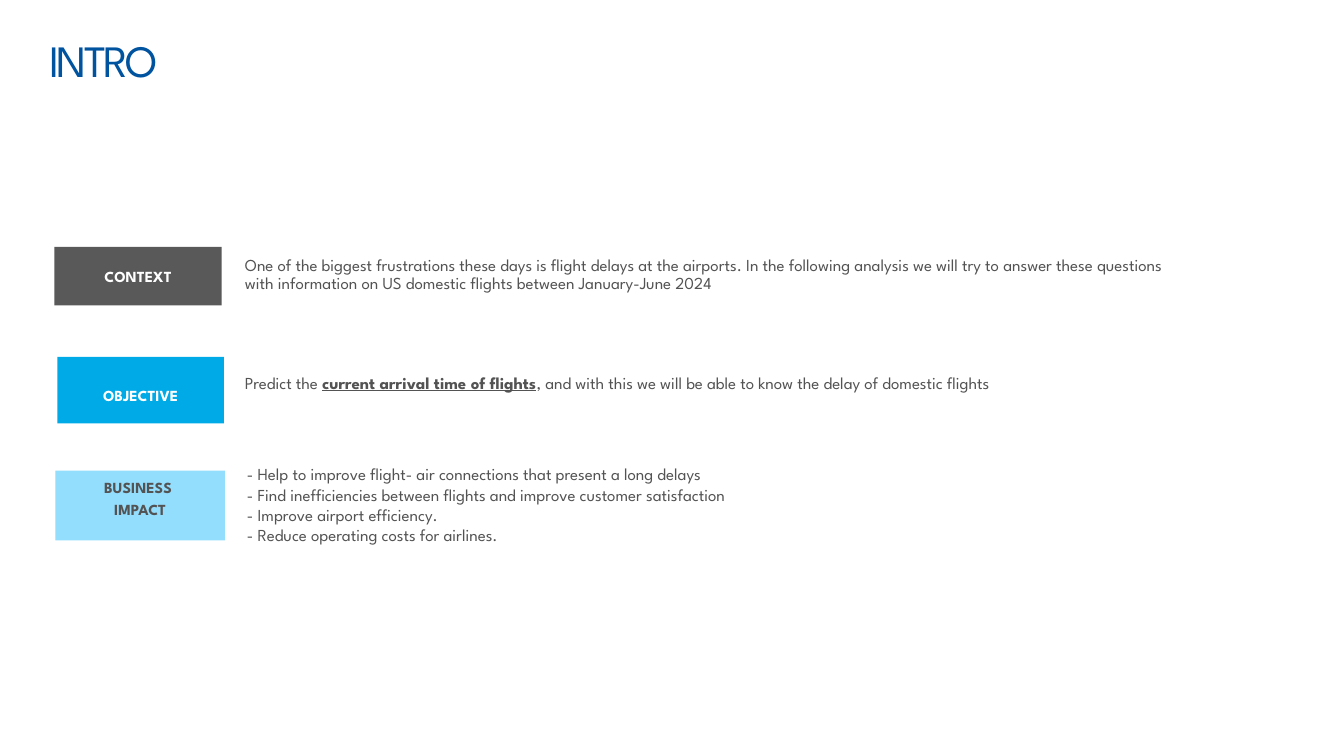
from dataclasses import dataclass

from pptx import Presentation
from pptx.dml.color import RGBColor
from pptx.enum.shapes import MSO_SHAPE
from pptx.enum.text import MSO_ANCHOR, PP_ALIGN
from pptx.util import Inches, Pt

RECTANGLE = MSO_SHAPE.RECTANGLE
TOP, MIDDLE = MSO_ANCHOR.TOP, MSO_ANCHOR.MIDDLE
LEFT, CENTER = PP_ALIGN.LEFT, PP_ALIGN.CENTER


@dataclass(frozen=True)
class Theme:
    font: str = "League Spartan"
    title_size: float = 32
    body_size: float = 12
    label_size: float = 11
    title: str = "00539F"
    text: str = "535353"
    white: str = "FFFFFF"
    context: str = "595959"
    objective: str = "00AAE6"
    impact: str = "93DDFD"


THEME = Theme()


def set_insets(frame, left, top, right, bottom):
    frame.margin_left, frame.margin_top = Inches(left), Inches(top)
    frame.margin_right, frame.margin_bottom = Inches(right), Inches(bottom)


def add_run(paragraph, text, size, color, bold=False, underline=False):
    run = paragraph.add_run()
    run.text = text
    run.font.name = THEME.font
    run.font.size = Pt(size)
    run.font.color.rgb = RGBColor.from_string(color)
    run.font.bold = bold
    run.font.underline = underline
    return run


def add_paragraph(frame, index, alignment, line_spacing, space_after=0):
    paragraph = frame.paragraphs[0] if index == 0 else frame.add_paragraph()
    paragraph.alignment = alignment
    paragraph.line_spacing = line_spacing
    paragraph.space_after = Pt(space_after)
    return paragraph


def add_text_box(slide, box):
    frame = slide.shapes.add_textbox(*map(Inches, box)).text_frame
    frame.word_wrap = True
    frame.vertical_anchor = MIDDLE
    set_insets(frame, 0, 0, 0, 0)
    return frame


def add_title(slide, box, text):
    paragraph = add_paragraph(add_text_box(slide, box), 0, LEFT, 0.9)
    run = add_run(paragraph, text, THEME.title_size, THEME.title)
    run.font._element.set("spc", "-190")


def add_body(slide, box, paragraphs, line_spacing=1.0):
    """Each paragraph is a list of (text, emphasised) runs."""
    frame = add_text_box(slide, box)
    for index, runs in enumerate(paragraphs):
        paragraph = add_paragraph(frame, index, LEFT, line_spacing)
        for text, emphasised in runs:
            add_run(paragraph, text, THEME.body_size, THEME.text, emphasised, emphasised)


def add_label(slide, box, lines, fill, color, anchor=MIDDLE, top_inset=0.05,
              line_spacing=1.0, space_after=0):
    shape = slide.shapes.add_shape(RECTANGLE, *map(Inches, box))
    shape.shadow.inherit = False
    shape.fill.solid()
    shape.fill.fore_color.rgb = RGBColor.from_string(fill)
    shape.line.fill.background()
    frame = shape.text_frame
    frame.word_wrap = True
    frame.vertical_anchor = anchor
    set_insets(frame, 0.1, top_inset, 0.1, 0.05)
    for index, line in enumerate(lines):
        paragraph = add_paragraph(frame, index, CENTER, line_spacing, space_after)
        add_run(paragraph, line, THEME.label_size, color, bold=True)


def add_intro_slide(presentation):
    slide = presentation.slides.add_slide(presentation.slide_layouts[6])
    add_title(slide, (0.49, 0.21, 11.67, 0.83), "INTRO")

    add_label(slide, (0.54, 2.45, 1.66, 0.58), ["CONTEXT"], THEME.context, THEME.white)
    add_body(slide, (2.43, 2.31, 9.36, 0.83), [[
        ("One of the biggest frustrations these days is flight delays at the airports. "
         "In the following analysis we will try to answer these questions with "
         "information on US domestic flights between January-June 2024", False),
    ]], line_spacing=0.9)

    add_label(slide, (0.57, 3.54, 1.65, 0.66), ["OBJECTIVE"], THEME.objective,
              THEME.white, top_inset=0.15)
    add_body(slide, (2.43, 3.38, 8.92, 0.83), [[
        ("Predict the ", False),
        ("current arrival time of flights", True),
        (", and with this we will be able to know the delay of domestic flights", False),
    ]])

    add_label(slide, (0.55, 4.67, 1.68, 0.69), ["BUSINESS ", "IMPACT"], THEME.impact,
              THEME.text, anchor=TOP, top_inset=0.09, line_spacing=0.9, space_after=3.85)
    impacts = [
        "- Help to improve flight- air connections that present a long delays",
        "- Find inefficiencies between flights and improve customer satisfaction",
        "- Improve airport efficiency.",
        "- Reduce operating costs for airlines.",
    ]
    add_body(slide, (2.45, 4.59, 9.36, 0.83), [[(impact, False)] for impact in impacts])


def main():
    presentation = Presentation()
    presentation.slide_width = Inches(13.33)
    presentation.slide_height = Inches(7.5)
    add_intro_slide(presentation)
    presentation.save("out.pptx")


if __name__ == "__main__":
    main()
